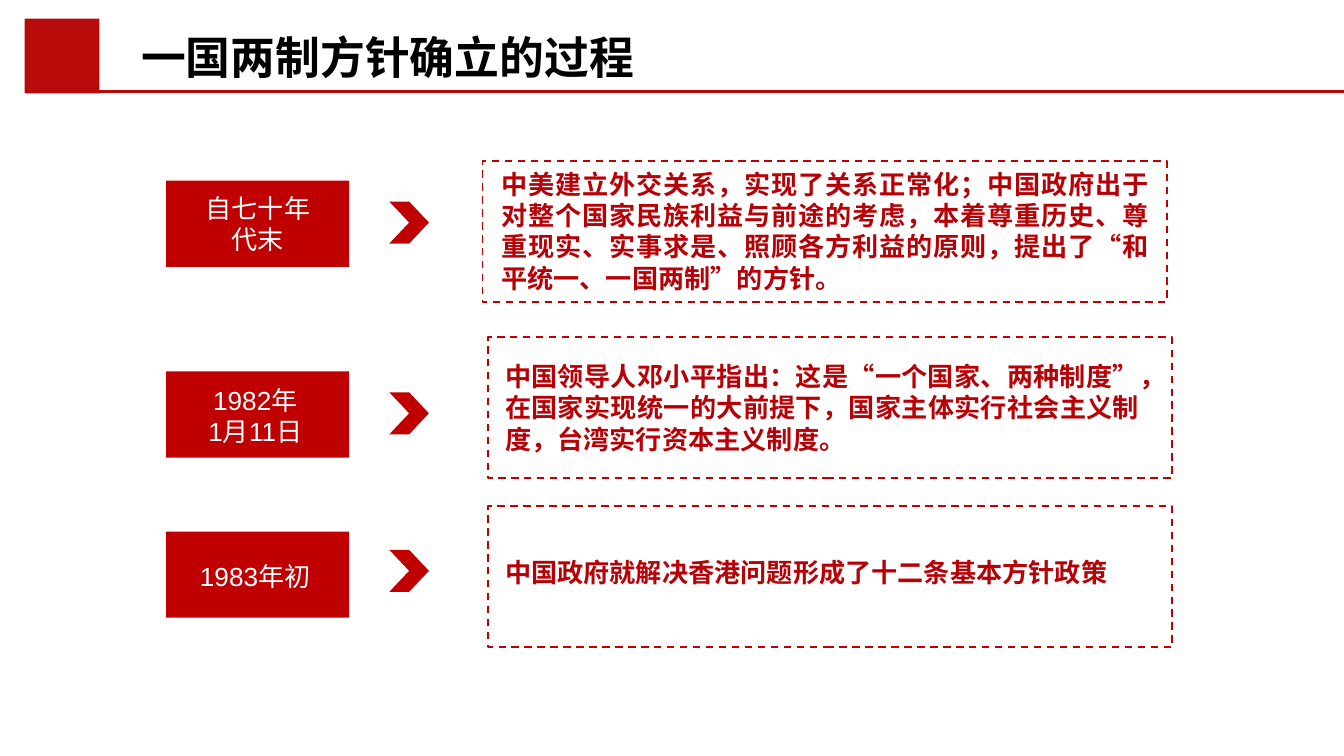
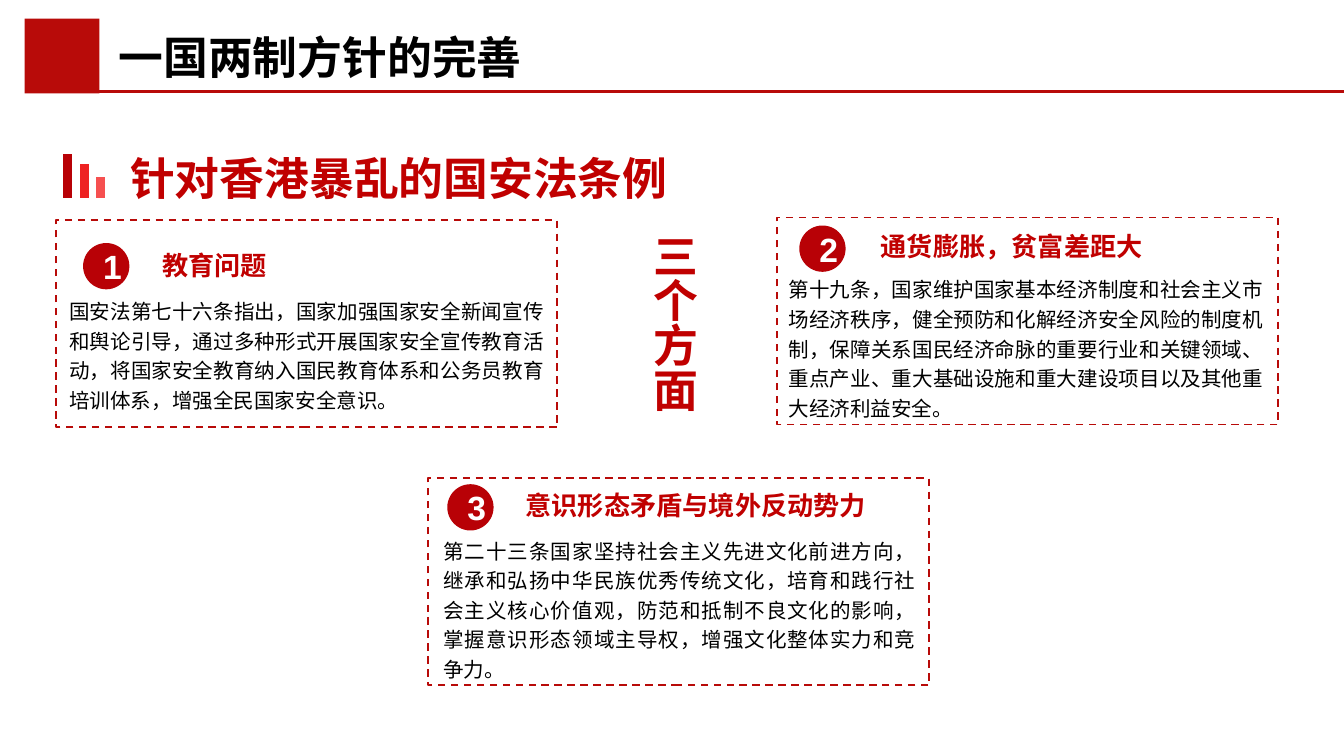
from dataclasses import dataclass

from lxml import etree
from pptx import Presentation
from pptx.dml.color import RGBColor
from pptx.enum import dml, lang, shapes, text
from pptx.oxml import ns
from pptx.util import Pt

# Shared look
CRIMSON = RGBColor(0xB8, 0x0B, 0x09)
DEEP_RED = RGBColor(0xB8, 0x01, 0x06)
RED = RGBColor(0xC0, 0x00, 0x00)
BRIGHT_RED = RGBColor(0xEE, 0x22, 0x22)
LIGHT_RED = RGBColor(0xF6, 0x50, 0x50)
BLACK = RGBColor(0x00, 0x00, 0x00)
WHITE = RGBColor(0xFF, 0xFF, 0xFF)
CJK = "Noto Sans CJK SC"
LATIN = "Arial"

SLIDE_WIDTH, SLIDE_HEIGHT = 720, 405
TITLE_ONLY = 5
LEFT, CENTER, JUSTIFY = text.PP_ALIGN.LEFT, text.PP_ALIGN.CENTER, text.PP_ALIGN.JUSTIFY
Preset = shapes.MSO_SHAPE


@dataclass(frozen=True)
class Style:
    size: float
    color: RGBColor
    bold: bool = False
    font: str = CJK
    align: text.PP_ALIGN = JUSTIFY
    spacing: float = 1.0


TITLE = Style(24, BLACK, bold=True, align=LEFT)
HEADLINE = Style(24, RED, bold=True, align=LEFT)
DATE = Style(14, WHITE, font=LATIN, align=CENTER)
EVENT = Style(14, DEEP_RED, bold=True)
ASPECT = Style(14, RED, bold=True)
ARTICLE = Style(11, BLACK, spacing=1.2)
NUMBER = Style(18, WHITE, bold=True, font=LATIN, align=CENTER)


@dataclass(frozen=True)
class Area:
    left: float
    top: float
    width: float
    height: float

    def points(self) -> tuple:
        return Pt(self.left), Pt(self.top), Pt(self.width), Pt(self.height)


@dataclass(frozen=True)
class Step:
    date: tuple
    date_area: Area
    plate_top: float
    chevron_top: float
    frame_left: float
    frame_top: float
    event: str
    event_area: Area


@dataclass(frozen=True)
class Card:
    number: str
    left: float
    top: float
    badge: tuple
    aspect: str
    aspect_area: Area
    article: str
    article_area: Area


# Drawing helpers
def write(frame, lines: tuple, style: Style) -> None:
    for index, line in enumerate(lines):
        paragraph = frame.paragraphs[0] if index == 0 else frame.add_paragraph()
        paragraph.alignment = style.align
        paragraph.line_spacing = style.spacing
        run = paragraph.add_run()
        run.text = line
        font = run.font
        font.size, font.bold, font.name = Pt(style.size), style.bold, style.font
        font.color.rgb = style.color
        font.language_id = lang.MSO_LANGUAGE_ID.SIMPLIFIED_CHINESE
        if style.font == CJK:
            east_asian = etree.SubElement(run._r.get_or_add_rPr(), ns.qn("a:ea"))
            east_asian.set("typeface", CJK)


def add_text(slide, area: Area, lines: tuple, style: Style, wrap: bool = True):
    frame = slide.shapes.add_textbox(*area.points()).text_frame
    frame.word_wrap = wrap
    frame.auto_size = text.MSO_AUTO_SIZE.SHAPE_TO_FIT_TEXT
    write(frame, lines, style)
    return frame


def add_solid(slide, preset: Preset, area: Area, color: RGBColor):
    solid = slide.shapes.add_shape(preset, *area.points())
    solid.shadow.inherit = False
    solid.fill.solid()
    solid.fill.fore_color.rgb = color
    solid.line.fill.background()
    return solid


def add_dashed_frame(slide, area: Area, color: RGBColor) -> None:
    frame = slide.shapes.add_shape(Preset.RECTANGLE, *area.points())
    frame.shadow.inherit = False
    frame.fill.background()
    frame.line.color.rgb = color
    frame.line.width = Pt(1)
    frame.line.dash_style = dml.MSO_LINE.DASH


def add_line(slide, start: tuple, end: tuple, color: RGBColor, width: float) -> None:
    line = slide.shapes.add_connector(
        shapes.MSO_CONNECTOR.STRAIGHT, *(Pt(value) for value in (*start, *end)))
    line.line.color.rgb = color
    line.line.width = Pt(width)
    etree.SubElement(line._element.spPr, ns.qn("a:effectLst"))


def add_titled_slide(deck, title: str, area: Area):
    slide = deck.slides.add_slide(deck.slide_layouts[TITLE_ONLY])
    heading = slide.shapes.title
    heading.left, heading.top, heading.width, heading.height = area.points()
    frame = heading.text_frame
    frame.word_wrap = False
    frame.auto_size = text.MSO_AUTO_SIZE.SHAPE_TO_FIT_TEXT
    frame.vertical_anchor = text.MSO_ANCHOR.TOP
    write(frame, (title,), TITLE)
    add_solid(slide, Preset.RECTANGLE, Area(13.2, 10, 40, 40), CRIMSON)
    add_line(slide, (53, 49), (SLIDE_WIDTH, 49), CRIMSON, 1.5)
    return slide


# Slide 1: three dated steps
STEPS = (
    Step(("自七十年代末",), Area(97.2, 99.4, 82, 41), 96.8, 108, 258.5, 86.4,
         "中美建立外交关系，实现了关系正常化；中国政府出于对整个国家民族利益与前途的考虑，"
         "本着尊重历史、尊重现实、实事求是、照顾各方利益的原则，提出了“和平统一、一国两制”的方针。",
         Area(261.4, 86.4, 361.4, 123)),
    Step(("1982年", "1月11日"), Area(95.8, 202.3, 82, 41), 199, 210.2, 261.2, 180.6,
         "中国领导人邓小平指出：这是“一个国家、两种制度”，在国家实现统一的大前提下，"
         "国家主体实行社会主义制度，台湾实行资本主义制度。",
         Area(263.5, 189.4, 354.2, 96)),
    Step(("1983年初",), Area(87.8, 296.6, 98, 24.5), 284.8, 294.6, 261.4, 271.2,
         "中国政府就解决香港问题形成了十二条基本方针政策",
         Area(263.5, 294.5, 354.2, 39.6)),
)


def draw_step(slide, step: Step) -> None:
    add_solid(slide, Preset.RECTANGLE, Area(89, step.plate_top, 98, 46.2), RED)
    add_text(slide, step.date_area, step.date, DATE)
    add_solid(slide, Preset.CHEVRON, Area(208.6, step.chevron_top, 21.2, 22.5), RED)
    add_text(slide, step.event_area, (step.event,), EVENT)
    add_dashed_frame(slide, Area(step.frame_left, step.frame_top, 366.5, 75.6), RED)


def build_process(deck) -> None:
    slide = add_titled_slide(deck, "一国两制方针确立的过程", Area(68.4, 12.2, 281, 36))
    for step in STEPS:
        draw_step(slide, step)


# Slide 2: three numbered aspects
CARDS = (
    Card("1", 30, 118.1, (44.5, 130.2),
         "教育问题", Area(79.9, 130.3, 221.8, 24.5),
         "国安法第七十六条指出，国家加强国家安全新闻宣传和舆论引导，通过多种形式开展国家安全"
         "宣传教育活动，将国家安全教育纳入国民教育体系和公务员教育培训体系，增强全民国家安全意识。",
         Area(30, 154.1, 268.6, 69.8)),
    Card("2", 416.2, 116.6, (428.2, 120.8),
         "通货膨胀，贫富差距大", Area(464.8, 120, 201.6, 24.5),
         "第十九条，国家维护国家基本经济制度和社会主义市场经济秩序，健全预防和化解经济安全风险的"
         "制度机制，保障关系国民经济命脉的重要行业和关键领域、重点产业、重大基础设施和重大建设项目"
         "以及其他重大经济利益安全。",
         Area(415.4, 142.4, 268.6, 85.7)),
    Card("3", 229.2, 256.3, (239.6, 259.4),
         "意识形态矛盾与境外反动势力", Area(274.5, 258.5, 221.8, 24.5),
         "第二十三条国家坚持社会主义先进文化前进方向，继承和弘扬中华民族优秀传统文化，"
         "培育和践行社会主义核心价值观，防范和抵制不良文化的影响，掌握意识形态领域主导权，"
         "增强文化整体实力和竞争力。",
         Area(230.4, 282.4, 267.4, 85.7)),
)
BAR_BASE = 106
BARS = ((36.2, 82.6, DEEP_RED), (45.2, 87.8, BRIGHT_RED), (53.9, 95, LIGHT_RED))


def draw_card(slide, card: Card) -> None:
    add_text(slide, card.aspect_area, (card.aspect,), ASPECT)
    add_text(slide, card.article_area, (card.article,), ARTICLE)
    add_dashed_frame(slide, Area(card.left, card.top, 268.6, 110.9), CRIMSON)
    badge = add_solid(slide, Preset.OVAL, Area(*card.badge, 24.8, 24.8), DEEP_RED)
    badge.text_frame.vertical_anchor = text.MSO_ANCHOR.MIDDLE
    write(badge.text_frame, (card.number,), NUMBER)


def build_improvement(deck) -> None:
    slide = add_titled_slide(deck, "一国两制方针的完善", Area(56.3, 12.2, 232.6, 36))
    add_text(slide, Area(62.6, 77, 305.3, 36), ("针对香港暴乱的国安法条例",), HEADLINE, wrap=False)
    for left, top, color in BARS:
        add_line(slide, (left, BAR_BASE), (left, top), color, 4.5)
    for card in CARDS:
        draw_card(slide, card)
    summary = add_text(slide, Area(335.5, 118.1, 43.9, 104.4), ("三个方面",), HEADLINE, wrap=False)
    summary._txBody.bodyPr.set("vert", "eaVert")


def main() -> None:
    deck = Presentation()
    deck.slide_width, deck.slide_height = Pt(SLIDE_WIDTH), Pt(SLIDE_HEIGHT)
    build_process(deck)
    build_improvement(deck)
    deck.save("out.pptx")


if __name__ == "__main__":
    main()
